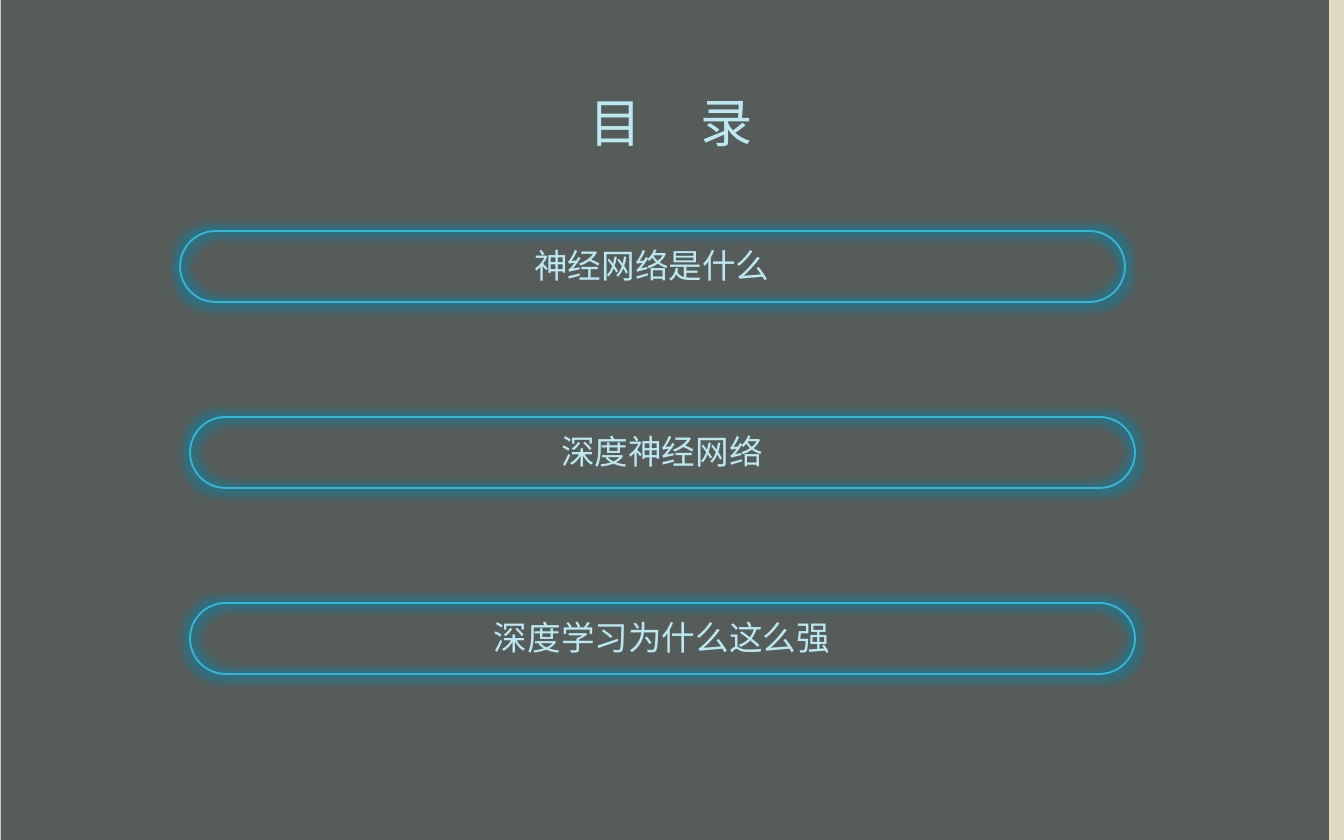
from dataclasses import dataclass

import pptx
import pptx.dml.color
import pptx.enum.shapes
import pptx.enum.text
import pptx.oxml
import pptx.oxml.ns
import pptx.util
from lxml import etree

SCALE = 914400 / 134.4
SHAPES = pptx.enum.shapes.MSO_SHAPE


@dataclass(frozen=True)
class Theme:
    background: str = "DDD9C3"
    panel: str = "000D18"
    panel_opacity: int = 61
    outline: str = "30B8D8"
    glow: str = "0088B0"
    glow_opacity: int = 40
    text: str = "BCE8F2"
    font: str = "Noto Sans CJK SC"
    title_size: int = 28
    label_size: int = 18


def px(length):
    return pptx.util.Emu(round(length * SCALE))


def rgb(value):
    return pptx.dml.color.RGBColor.from_string(value)


def add_element(parent, tag, **attributes):
    element = etree.SubElement(parent, pptx.oxml.ns.qn(tag))
    for name, value in attributes.items():
        element.set(name, str(value))
    return element


class SlideBuilder:
    def __init__(self, slide, theme):
        self.slide = slide
        self.theme = theme
        slide.background.fill.solid()
        slide.background.fill.fore_color.rgb = rgb(theme.background)

    def format_text(self, shape, size, top_inset):
        frame = shape.text_frame
        frame.word_wrap = True
        frame.auto_size = pptx.enum.text.MSO_AUTO_SIZE.NONE
        frame.vertical_anchor = pptx.enum.text.MSO_ANCHOR.TOP
        frame.margin_left = frame.margin_right = frame.margin_bottom = 0
        frame.margin_top = px(top_inset)
        paragraph = frame.paragraphs[0]
        paragraph.alignment = pptx.enum.text.PP_ALIGN.CENTER
        paragraph.font.size = pptx.util.Pt(size)
        paragraph.font.color.rgb = rgb(self.theme.text)
        paragraph.font.name = self.theme.font
        defaults = paragraph._p.pPr.find(pptx.oxml.ns.qn("a:defRPr"))
        add_element(defaults, "a:ea", typeface=self.theme.font)

    def panel(self, left, top, width, height):
        shape = self.slide.shapes.add_shape(
            SHAPES.RECTANGLE, px(left), px(top), px(width), px(height))
        shape.shadow.inherit = False
        shape.fill.solid()
        shape.fill.fore_color.rgb = rgb(self.theme.panel)
        color = shape._element.spPr.find(".//" + pptx.oxml.ns.qn("a:srgbClr"))
        add_element(color, "a:alpha", val=self.theme.panel_opacity * 1000)
        shape.line.fill.background()

    def title(self, first, last, gap, left, top, width, height):
        """Set two characters apart by widening the single space between them."""
        shape = self.slide.shapes.title
        self.slide.shapes._spTree.append(shape._element)
        shape.left, shape.top = px(left), px(top)
        shape.width, shape.height = px(width), px(height)
        paragraph = shape.text_frame.paragraphs[0]
        for text in (first, " ", last):
            paragraph.add_run().text = text
        paragraph.runs[1]._r.get_or_add_rPr().set("spc", str(gap * 100))
        self.format_text(shape, self.theme.title_size, top_inset=12)

    def entry(self, text, left, top, width, height):
        """Add a glowing pill with its label, grouped."""
        group = self.slide.shapes.add_group_shape()
        pill = group.shapes.add_shape(
            SHAPES.ROUNDED_RECTANGLE, px(left), px(top), px(width), px(height))
        pill.adjustments[0] = 0.5
        pill.fill.background()
        pill.line.color.rgb = rgb(self.theme.outline)
        pill.line.width = pptx.util.Pt(1)
        pill.shadow.inherit = False
        effects = pill._element.spPr.find(pptx.oxml.ns.qn("a:effectLst"))
        glow = add_element(effects, "a:glow", rad=px(14))
        color = add_element(glow, "a:srgbClr", val=self.theme.glow)
        add_element(color, "a:alpha", val=self.theme.glow_opacity * 1000)

        label_width = 418
        label = group.shapes.add_textbox(
            px(left + (width - label_width) // 2), px(top + 13),
            px(label_width), px(54))
        label.text_frame.text = text
        self.format_text(label, self.theme.label_size, top_inset=1)


def main():
    presentation = pptx.Presentation()
    presentation.slide_width, presentation.slide_height = px(1344), px(840)
    slide = presentation.slides.add_slide(presentation.slide_layouts[5])
    builder = SlideBuilder(slide, Theme())

    builder.panel(1, 0, 1328, 840)
    entries = [("神经网络是什么", 180), ("深度神经网络", 190), ("深度学习为什么这么强", 190)]
    for row, (text, left) in enumerate(entries):
        builder.entry(text, left, 231 + row * 186, 945, 71)
    builder.title("目", "录", 25, left=560, top=78, width=222, height=85)
    presentation.save("out.pptx")


if __name__ == "__main__":
    main()
